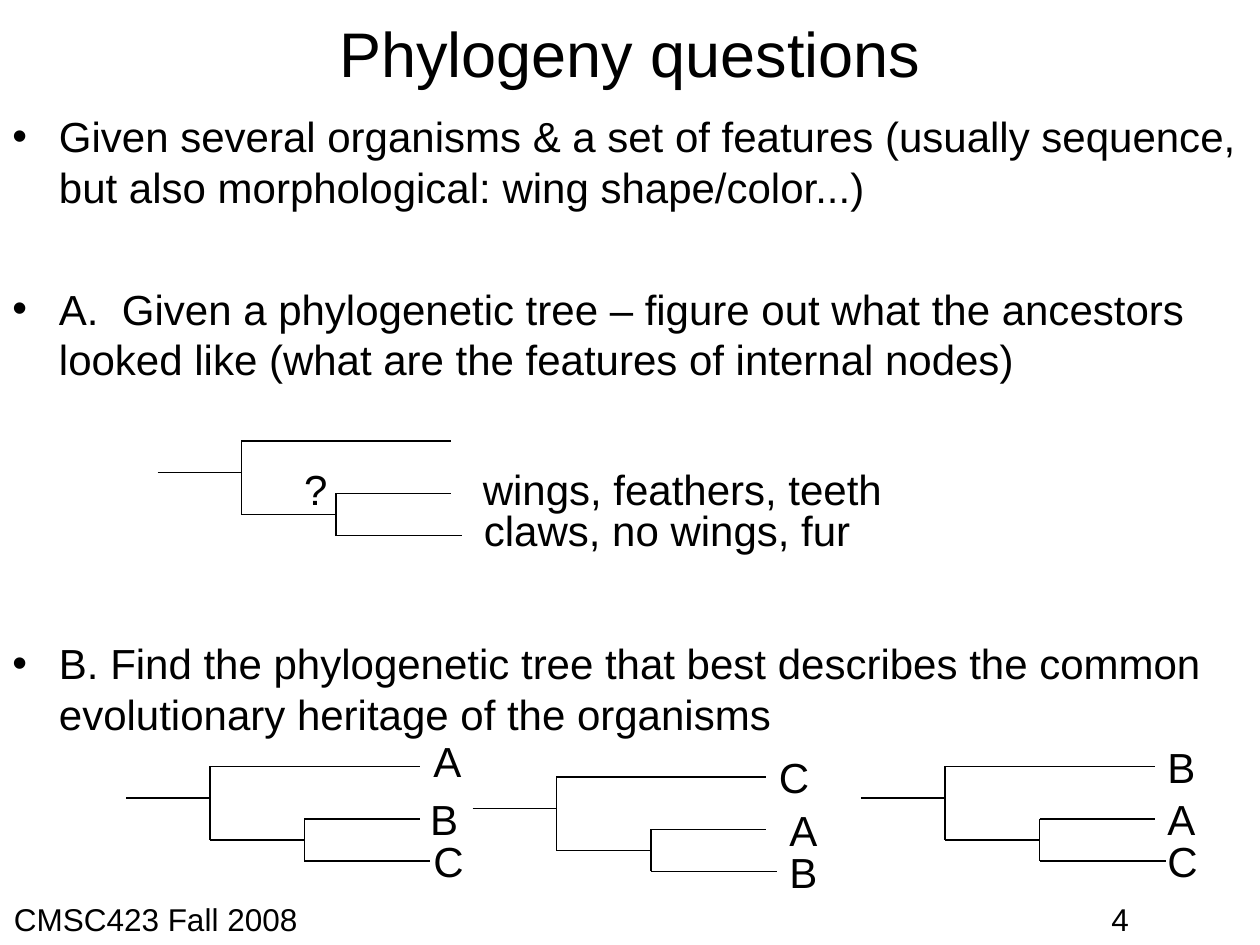
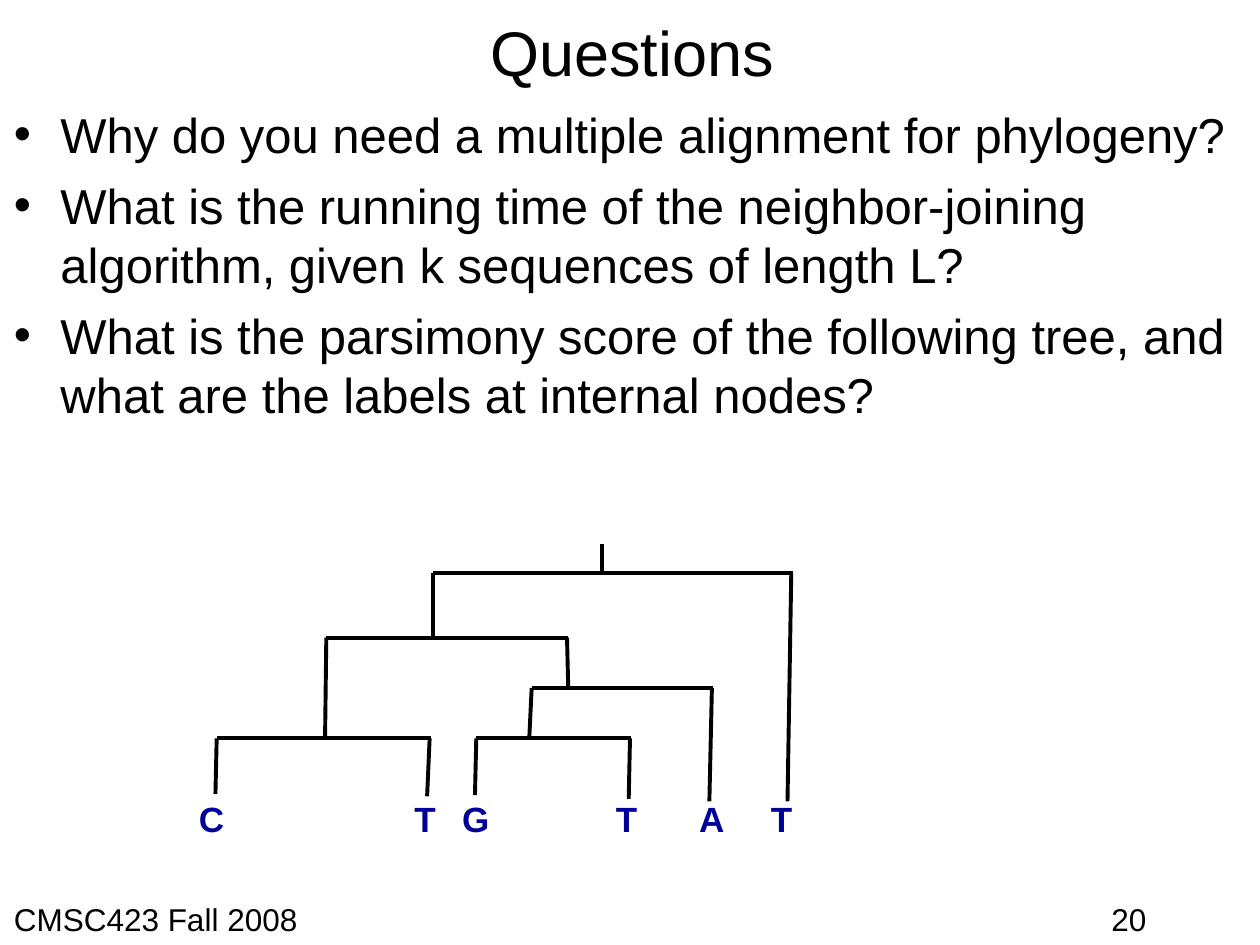
from lxml import etree
from pptx import Presentation, util as u
from pptx.dml.color import RGBColor
from pptx.enum import shapes, text
from pptx.oxml.ns import qn

COLORS = {"ink": "000000", "leaf": "000099"}
FONT = "Arial"
CELL = 1 / 12
FINE = 0.01
MARGIN = (0.1, 0.05)
NO_MARGIN = (0, 0)

SMALL_TREE = [
    (0, 3, 8, 3),
    (8, 0, 8, 7),
    (8, 7, 17, 7),
    (17, 5, 17, 9),
    (17, 5, 28, 5),
    (17, 9, 29, 9),
    (8, 0, 28, 0),
]

ANCESTOR_TREE = (15, 42, [
    ("wings, feathers, teeth", 29.8, 1.6, 41),
    ("claws, no wings, fur", 29.9, 5.5, 38),
    ("?", 12.8, 1.6, 5),
])

CANDIDATE_TREES = [
    (12, 73, [("A", 28.1, -3.5, 5), ("B", 27.8, 2, 5), ("C", 28.1, 6, 5)]),
    (45, 74, [("C", 28, -3, 5), ("A", 29, 2, 5), ("B", 29, 6, 5)]),
    (82, 73, [("B", 28, -3, 5), ("A", 28, 2, 5), ("C", 28, 6, 5)]),
]

PARSIMONY_FORKS = [
    # left, right, row, left foot, left end, right foot, right end
    (196, 481, 23, 196, 74, 477, 204),
    (111, 303, 74, 110, 153, 303, 114),
    (24, 194, 154, 23, 198, 191, 200),
    (274, 418, 114, 272, 155, 415, 204),
    (230, 353, 154, 229, 199, 351, 202),
]

PARSIMONY_LEAVES = [
    ("C", 0, 45), ("T", 171, 40), ("G", 209, 42),
    ("T", 331, 40), ("A", 397, 40), ("T", 454, 48),
]


def place(shape, left, top, width, height):
    shape.left, shape.top = u.Inches(left), u.Inches(top)
    shape.width, shape.height = u.Inches(width), u.Inches(height)


def add_bullet(para):
    props = para._p.get_or_add_pPr()
    props.set("marL", str(u.Inches(0.37)))
    props.set("indent", str(-u.Inches(0.37)))
    etree.SubElement(props, qn("a:buFont"), typeface=FONT)
    etree.SubElement(props, qn("a:buChar"), char="•")


def write(shape, lines, size=24, color="ink", bold=False, margin=MARGIN,
          align=text.PP_ALIGN.LEFT, anchor=text.MSO_ANCHOR.TOP, gaps=None):
    frame = shape.text_frame
    frame.word_wrap = True
    frame.auto_size = text.MSO_AUTO_SIZE.NONE
    frame.vertical_anchor = anchor
    frame.margin_left = frame.margin_right = u.Inches(margin[0])
    frame.margin_top = frame.margin_bottom = u.Inches(margin[1])
    for index, line in enumerate(lines):
        para = frame.paragraphs[0] if index == 0 else frame.add_paragraph()
        para.alignment = align
        if gaps:
            para.space_before = u.Pt(gaps[index])
            add_bullet(para)
        span = para.add_run()
        span.text = line
        span.font.name, span.font.size = FONT, u.Pt(size)
        span.font.bold = bold
        span.font.color.rgb = RGBColor.from_string(COLORS[color])


def add_text(page, box, lines, **style):
    shape = page.shapes.add_textbox(0, 0, 0, 0)
    place(shape, *box)
    write(shape, lines, **style)


def add_line(page, origin, unit, ends, weight):
    x1, y1, x2, y2 = (
        u.Inches(origin[i % 2] + value * unit) for i, value in enumerate(ends)
    )
    line = page.shapes.add_connector(
        shapes.MSO_CONNECTOR.STRAIGHT, x1, y1, x2, y2)
    line.line.color.rgb = RGBColor.from_string(COLORS["ink"])
    line.line.width = u.Pt(weight)
    etree.SubElement(line._element.spPr, qn("a:effectLst"))


def add_small_tree(page, column, row, labels):
    origin = (column * CELL, row * CELL)
    for ends in SMALL_TREE:
        add_line(page, origin, CELL, ends, 0.75)
    for label, across, down, width in labels:
        box = (origin[0] + across * CELL, origin[1] + down * CELL,
               width * CELL, 6 * CELL)
        add_text(page, box, [label])


def add_parsimony_tree(page, left, top):
    origin = (left, top)
    branches = [(330, 0, 330, 22)]
    for start, end, row, left_foot, left_end, right_foot, right_end in PARSIMONY_FORKS:
        branches += [
            (start, row, end, row),
            (start, row, left_foot, left_end),
            (end - 1, row, right_foot, right_end),
        ]
    for ends in branches:
        add_line(page, origin, FINE, ends, 2.25)
    for leaf, across, width in PARSIMONY_LEAVES:
        box = (left + across * FINE, top + 196 * FINE, width * FINE, 44 * FINE)
        add_text(page, box, [leaf], size=20, color="leaf", bold=True)


def add_page(deck, title, title_box, number):
    page = deck.slides.add_slide(deck.slide_layouts[5])
    place(page.shapes.title, *title_box)
    write(page.shapes.title, [title], size=36, margin=NO_MARGIN,
          align=text.PP_ALIGN.CENTER, anchor=text.MSO_ANCHOR.MIDDLE)
    for left, width, label in ((0.11, 8.71, "CMSC423 Fall 2008"),
                               (8.82, 1.08, number)):
        add_text(page, (left, 7.14, width, 0.36), [label],
                 size=18, margin=NO_MARGIN)
    return page


def build_phylogeny(deck):
    page = add_page(deck, "Phylogeny questions", (0, 0.08, 10, 0.67), "4")
    add_text(page, (0, 0.83, 10, 6.67), [
        "Given several organisms & a set of features (usually sequence, "
        "but also morphological: wing shape/color...)",
        "A.  Given a phylogenetic tree – figure out what the ancestors "
        "looked like (what are the features of internal nodes)",
        "B. Find the phylogenetic tree that best describes the common "
        "evolutionary heritage of the organisms",
    ], gaps=(6, 41, 145))
    for tree in [ANCESTOR_TREE, *CANDIDATE_TREES]:
        add_small_tree(page, *tree)


def build_questions(deck):
    page = add_page(deck, "Questions", (0.13, 0.06, 9.77, 0.7), "20")
    add_text(page, (0.11, 0.83, 9.78, 6.31), [
        "Why do you need a multiple alignment for phylogeny?",
        "What is the running time of the neighbor-joining algorithm, "
        "given k sequences of length L?",
        "What is the parsimony score of the following tree, "
        "and what are the labels at internal nodes?",
    ], size=28, margin=NO_MARGIN, gaps=(7, 7, 7))
    add_parsimony_tree(page, 1.48, 4.32)


def main():
    deck = Presentation()
    deck.slide_width, deck.slide_height = u.Inches(10), u.Inches(7.5)
    build_phylogeny(deck)
    build_questions(deck)
    deck.save("out.pptx")


if __name__ == "__main__":
    main()
